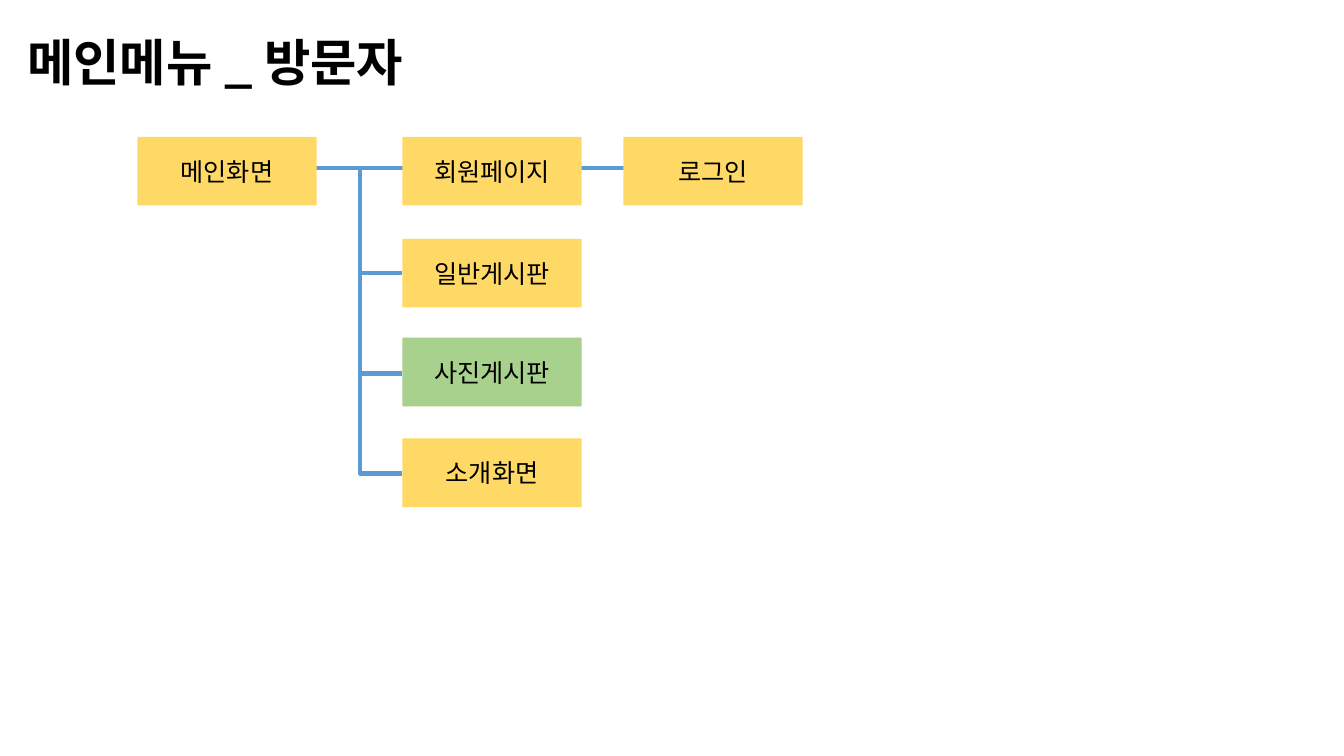
from pptx import Presentation
from pptx import util as u
from pptx.dml.color import RGBColor
from pptx.enum import shapes, text
from pptx.oxml import parse_xml
from pptx.oxml.ns import nsdecls, qn

FONT = "Noto Sans CJK KR"
BLACK = RGBColor(0x00, 0x00, 0x00)
YELLOW = RGBColor(0xFF, 0xD9, 0x66)
GREEN = RGBColor(0xA9, 0xD1, 0x8E)
BLUE = RGBColor(0x5B, 0x9B, 0xD5)

# Menu tree measures in centimetres, relative to its box
BOX_WIDTH, BOX_HEIGHT = 4.52, 1.73
COLUMNS = (0, 6.68, 12.25)
LINE_TOP = 0.79
TRUNK_LEFT = 5.62
BRANCH_HEIGHT, BRANCH_PITCH = 2.65, 2.52

MENU = [  # label, column, top, fill
    ("메인화면", 0, 0, YELLOW),
    ("회원페이지", 1, 0, YELLOW),
    ("일반게시판", 1, 2.57, YELLOW),
    ("사진게시판", 1, 5.06, GREEN),
    ("소개화면", 1, 7.6, YELLOW),
    ("로그인", 2, 0, YELLOW),
]


def write_text(shape, words, size=18, bold=False,
               align=text.PP_ALIGN.CENTER, anchor=text.MSO_ANCHOR.MIDDLE):
    frame = shape.text_frame
    frame.word_wrap = True
    frame.vertical_anchor = anchor
    paragraph = frame.paragraphs[0]
    paragraph.alignment = align
    paragraph.line_spacing = 1.0
    paragraph.space_before = u.Pt(0)
    run = paragraph.add_run()
    run.text = words
    run.font.name = FONT
    run.font.size = u.Pt(size)
    run.font.bold = bold
    run.font.color.rgb = BLACK
    # Hangul takes the East Asian typeface
    properties = run._r.get_or_add_rPr()
    properties.find(qn("a:latin")).addnext(
        parse_xml(f'<a:ea {nsdecls("a")} typeface="{FONT}"/>'))


def add_title(slide, left, top, width, height):
    title = slide.shapes.title
    title.left, title.top = u.Cm(left), u.Cm(top)
    title.width, title.height = u.Cm(width), u.Cm(height)
    write_text(title, "메인메뉴 _ 방문자", size=36, bold=True,
               align=text.PP_ALIGN.LEFT, anchor=text.MSO_ANCHOR.TOP)


def add_line(slide, kind, *ends):
    line = slide.shapes.add_connector(kind, *map(u.Cm, ends))
    line.line.color.rgb = BLUE
    line.line.width = u.Pt(3)
    line._element.spPr.append(parse_xml(f'<a:effectLst {nsdecls("a")}/>'))
    return line


def add_branch(slide, left, top, width, height):
    """Draw an elbow that runs down and then right."""
    center_x, center_y = left + width / 2, top + height / 2
    branch = add_line(slide, shapes.MSO_CONNECTOR.ELBOW,
                      center_x + height / 2, center_y - width / 2,
                      center_x - height / 2, center_y + width / 2)
    properties = branch._element.spPr
    properties.find(qn("a:xfrm")).set("rot", str(270 * 60000))
    properties.find(qn("a:prstGeom")).set("prst", "bentConnector2")


def add_menu_tree(slide, left, top):
    # Lines lie behind the boxes
    for level in range(3):
        add_branch(slide, left + TRUNK_LEFT,
                   top + LINE_TOP + level * BRANCH_PITCH,
                   COLUMNS[1] - TRUNK_LEFT, BRANCH_HEIGHT)
    line_y = top + LINE_TOP
    add_line(slide, shapes.MSO_CONNECTOR.STRAIGHT,
             left + BOX_WIDTH / 2, line_y, left + COLUMNS[2] + 1, line_y)

    # Menu boxes
    for label, column, offset, color in MENU:
        box = slide.shapes.add_shape(
            shapes.MSO_SHAPE.RECTANGLE,
            u.Cm(left + COLUMNS[column]), u.Cm(top + offset),
            u.Cm(BOX_WIDTH), u.Cm(BOX_HEIGHT))
        box.shadow.inherit = False
        box.fill.solid()
        box.fill.fore_color.rgb = color
        box.line.fill.background()
        write_text(box, label)


def main():
    presentation = Presentation()
    presentation.slide_width = u.Cm(33.87)
    presentation.slide_height = u.Cm(19.05)
    slide = presentation.slides.add_slide(presentation.slide_layouts[5])
    add_menu_tree(slide, 3.46, 3.45)
    add_title(slide, 0.43, 0.66, 11.43, 1.8)
    presentation.save("out.pptx")


if __name__ == "__main__":
    main()
